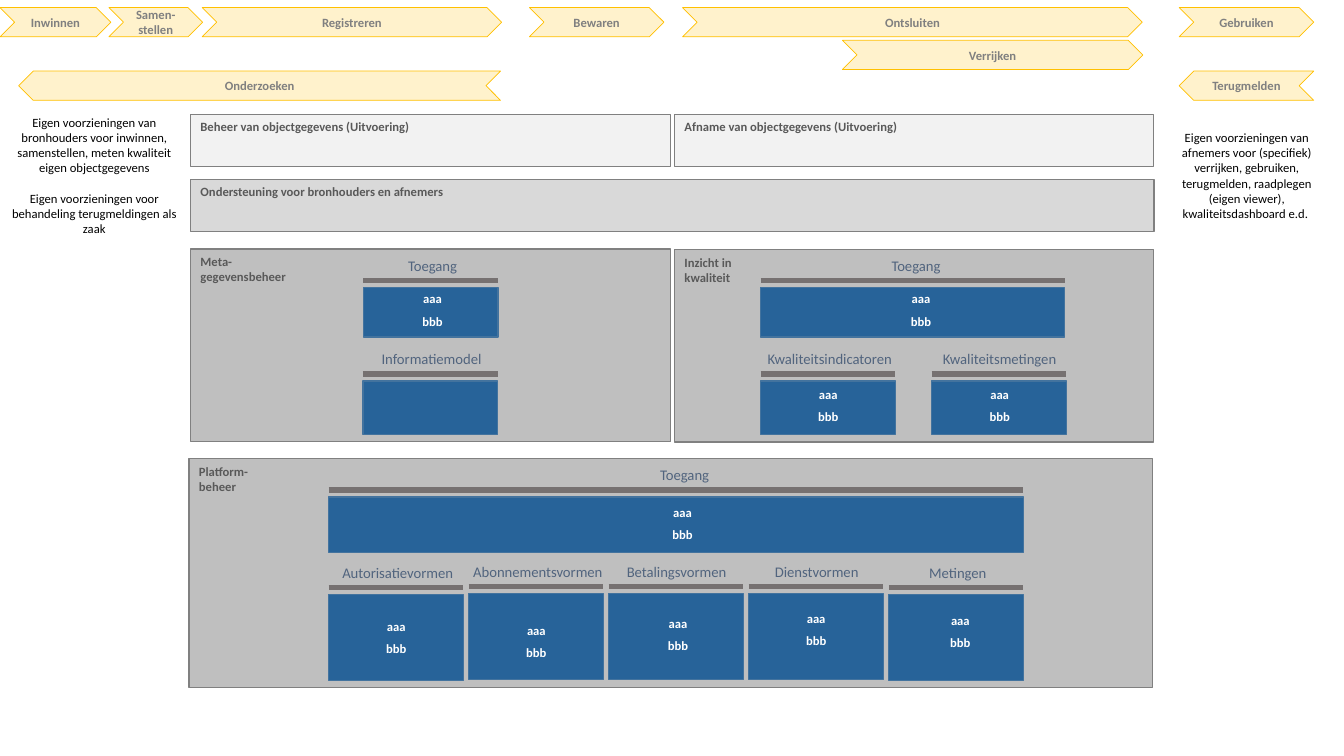
from dataclasses import dataclass
from typing import Optional

from lxml.etree import SubElement
from pptx import Presentation
from pptx.dml.color import RGBColor
from pptx.enum.shapes import MSO_CONNECTOR, MSO_SHAPE
from pptx.enum.text import MSO_ANCHOR, MSO_AUTO_SIZE, PP_ALIGN
from pptx.oxml.ns import qn
from pptx.util import Inches, Pt

# The grid: ten columns or rows to the inch
COLS, ROWS = 133.3, 75
PANEL_X, RIGHT_X, PANEL_W, FULL_W = 18.9, 66.9, 47.6, 95.55
ARROW_H, UNIT_W = 2.9, 13.35
PLATFORM_X, PLATFORM_W = 32.6, 68.9
LABEL_H, LABEL_CHAR_W = 1.8, 0.85
ITEM_W, ITEM_H, ITEM_STEP = 3, 1.5, 2.2


@dataclass(frozen=True)
class Theme:
    font: str = "Calibri"
    text_size: float = 9
    label_size: float = 10.5
    text: str = "000000"
    item: str = "FFFFFF"
    label: str = "51647E"
    bar: str = "767171"
    unit: str = "276399"
    unit_line: str = "43739E"
    arrow: str = "FFF2CC"
    arrow_line: str = "FFC000"
    arrow_text: str = "808080"
    panel_line: str = "808080"
    panel_text: str = "595959"
    light: str = "F2F2F2"
    middle: str = "D9D9D9"
    dark: str = "BFBFBF"


@dataclass(frozen=True)
class Panel:
    lines: tuple[str, ...]
    x: float
    y: float
    w: float
    h: float
    fill: str


@dataclass(frozen=True)
class Arrow:
    text: str
    x: float
    y: float
    w: float
    back: bool = False


@dataclass(frozen=True)
class Note:
    paragraphs: tuple[str, ...]
    x: float
    y: float
    w: float
    h: float


@dataclass(frozen=True)
class Unit:
    """A labelled bar with a block below it; items are placed by centre and top."""
    label: str
    x: float
    y: float
    w: float
    h: float
    label_x: float
    item_x: float = 0
    item_y: Optional[float] = None


THEME = Theme()

PANELS = [
    Panel(("Inzicht in", "kwaliteit"), RIGHT_X, 24.75, 47.5, 19.1, THEME.dark),
    Panel(("Meta-", "gegevensbeheer"), PANEL_X, 24.7, PANEL_W, 19.1, THEME.dark),
    Panel(("Ondersteuning voor bronhouders en afnemers",),
          PANEL_X, 17.8, FULL_W, 5.2, THEME.middle),
    Panel(("Afname van objectgegevens (Uitvoering)",),
          RIGHT_X, 11.35, 47.5, 5.2, THEME.light),
    Panel(("Beheer van objectgegevens (Uitvoering)",),
          PANEL_X, 11.35, PANEL_W, 5.2, THEME.light),
    Panel(("Platform-", "beheer"), 18.75, 45.5, FULL_W, 22.7, THEME.dark),
]

NOTES = [
    Note(("Eigen voorzieningen van bronhouders voor inwinnen, samenstellen, "
          "meten kwaliteit eigen objectgegevens",
          "Eigen voorzieningen voor behandeling terugmeldingen als zaak"),
         0, 10.9, 18.7, 13.1),
    Note(("Eigen voorzieningen van afnemers voor (specifiek) verrijken, gebruiken, "
          "terugmelden, raadplegen (eigen viewer), kwaliteitsdashboard e.d. ",),
         115.65, 12.4, 16, 10.1),
]

ARROWS = [
    Arrow("Inwinnen", 0, 0.75, 11),
    Arrow("Registreren", 20.05, 0.75, 29.7),
    Arrow("Bewaren", 52.5, 0.75, UNIT_W),
    Arrow("Samen-stellen", 10.8, 0.75, 9.3),
    Arrow("Ontsluiten", 67.7, 0.75, 45.6),
    Arrow("Gebruiken", 116.95, 0.75, UNIT_W),
    Arrow("Terugmelden", 116.95, 7.05, UNIT_W, back=True),
    Arrow("Onderzoeken", 1.85, 7.05, 47.8, back=True),
    Arrow("Verrijken", 83.55, 4, 29.8),
]

PLATFORM_FORMS = [  # label, bar row, label centre, item centre, item row
    ("Autorisatievormen", 58.3, 39.45, 39.3, 61.4),
    ("Abonnementsvormen", 58.2, 53.35, 53.2, 61.8),
    ("Betalingsvormen", 58.2, 67.1, 67.25, 61.1),
    ("Dienstvormen", 58.2, 81, 80.95, 60.6),
    ("Metingen", 58.3, 95, 95.25, 60.8),
]
FORM_STEP = (PLATFORM_W - UNIT_W) / (len(PLATFORM_FORMS) - 1)

UNITS = [
    Unit("Toegang", 36.05, 27.85, UNIT_W, 4.9, 42.9, 42.9, 28.9),
    Unit("Informatiemodel", 36, 37.1, UNIT_W, 5.3, 42.8),
    Unit("Kwaliteitsindicatoren", 75.45, 37.1, UNIT_W, 5.3, 82.3, 82.15, 38.4),
    Unit("Kwaliteitsmetingen", 92.4, 37.1, UNIT_W, 5.3, 99.15, 99.15, 38.4),
    Unit("Toegang", 75.45, 27.85, 30.15, 4.9, 90.85, 91.35, 28.9),
    Unit("Toegang", PLATFORM_X, 48.6, PLATFORM_W, 5.5, 67.9, 67.7, 50.1),
] + [
    Unit(label, PLATFORM_X + i * FORM_STEP, y, UNIT_W, 8.5, label_x, item_x, item_y)
    for i, (label, y, label_x, item_x, item_y) in enumerate(PLATFORM_FORMS)
]

prs = Presentation()
prs.slide_width, prs.slide_height = Inches(13.33), Inches(7.5)


def col(n: float) -> int:
    return round(prs.slide_width * n / COLS)


def row(n: float) -> int:
    return round(prs.slide_height * n / ROWS)


def box(x: float, y: float, w: float, h: float) -> tuple[int, int, int, int]:
    return col(x), row(y), col(w), row(h)


def write(tf, lines, color: str, size: float = THEME.text_size, bold: bool = False,
          align=PP_ALIGN.CENTER, gap: float = 0) -> None:
    for i, line in enumerate(lines):
        p = tf.add_paragraph() if i else tf.paragraphs[0]
        p.text, p.alignment = line, align
        p.font.name, p.font.size, p.font.bold = THEME.font, Pt(size), bold
        p.font.color.rgb = RGBColor.from_string(color)
        if i and gap:
            p.space_before = Pt(gap)


def add_block(shapes, kind, place, fill: str, line: str, width: float = 1):
    sp = shapes.add_shape(kind, *place)
    sp.shadow.inherit = False
    sp.fill.solid()
    sp.fill.fore_color.rgb = RGBColor.from_string(fill)
    sp.line.color.rgb = RGBColor.from_string(line)
    sp.line.width = Pt(width)
    return sp


def add_tight_text(shapes, text: str, place, color: str, size: float, bold: bool) -> None:
    """Add one line of text without margins, centred on its place."""
    tf = shapes.add_textbox(*place).text_frame
    tf.margin_left = tf.margin_right = tf.margin_top = tf.margin_bottom = 0
    tf.word_wrap = False
    write(tf, [text], color, size, bold)


def add_panel(shapes, panel: Panel) -> None:
    place = box(panel.x, panel.y, panel.w, panel.h)
    sp = add_block(shapes, MSO_SHAPE.RECTANGLE, place, panel.fill, THEME.panel_line)
    sp.text_frame.vertical_anchor = MSO_ANCHOR.TOP
    write(sp.text_frame, panel.lines, THEME.panel_text, bold=True, align=PP_ALIGN.LEFT)


def add_note(shapes, note: Note) -> None:
    tf = shapes.add_textbox(*box(note.x, note.y, note.w, note.h)).text_frame
    tf.word_wrap = True
    tf.auto_size = MSO_AUTO_SIZE.SHAPE_TO_FIT_TEXT
    write(tf, note.paragraphs, THEME.text, gap=11)


def add_arrow(shapes, arrow: Arrow) -> None:
    place = box(arrow.x, arrow.y, arrow.w, ARROW_H)
    sp = add_block(shapes, MSO_SHAPE.CHEVRON, place, THEME.arrow, THEME.arrow_line, 0.5)
    if arrow.back:
        sp.element.spPr.xfrm.set("flipH", "1")
    sp.text_frame.vertical_anchor = MSO_ANCHOR.MIDDLE
    write(sp.text_frame, [arrow.text], THEME.arrow_text, bold=True)


def add_unit(shapes, unit: Unit) -> None:
    group = shapes.add_group_shape().shapes
    bar = group.add_connector(MSO_CONNECTOR.STRAIGHT, col(unit.x), row(unit.y),
                              col(unit.x + unit.w), row(unit.y))
    bar.line.color.rgb = RGBColor.from_string(THEME.bar)
    bar.line.width = Pt(4)
    SubElement(bar.element.spPr, qn("a:effectLst"))
    label_w = LABEL_CHAR_W * len(unit.label)
    add_tight_text(group, unit.label,
                   box(unit.label_x - label_w / 2, unit.y - 2.4, label_w, LABEL_H),
                   THEME.label, THEME.label_size, False)
    add_block(group, MSO_SHAPE.RECTANGLE, box(unit.x, unit.y + 0.7, unit.w, unit.h),
              THEME.unit, THEME.unit_line)


def add_items(shapes, unit: Unit) -> None:
    if unit.item_y is None:
        return
    for i, text in enumerate(("aaa", "bbb")):
        place = box(unit.item_x - ITEM_W / 2, unit.item_y + i * ITEM_STEP, ITEM_W, ITEM_H)
        add_tight_text(shapes, text, place, THEME.item, THEME.text_size, True)


def main() -> None:
    shapes = prs.slides.add_slide(prs.slide_layouts[6]).shapes
    for draw, entries in ((add_panel, PANELS), (add_note, NOTES), (add_unit, UNITS),
                          (add_arrow, ARROWS), (add_items, UNITS)):
        for entry in entries:
            draw(shapes, entry)
    prs.save("out.pptx")


if __name__ == "__main__":
    main()
